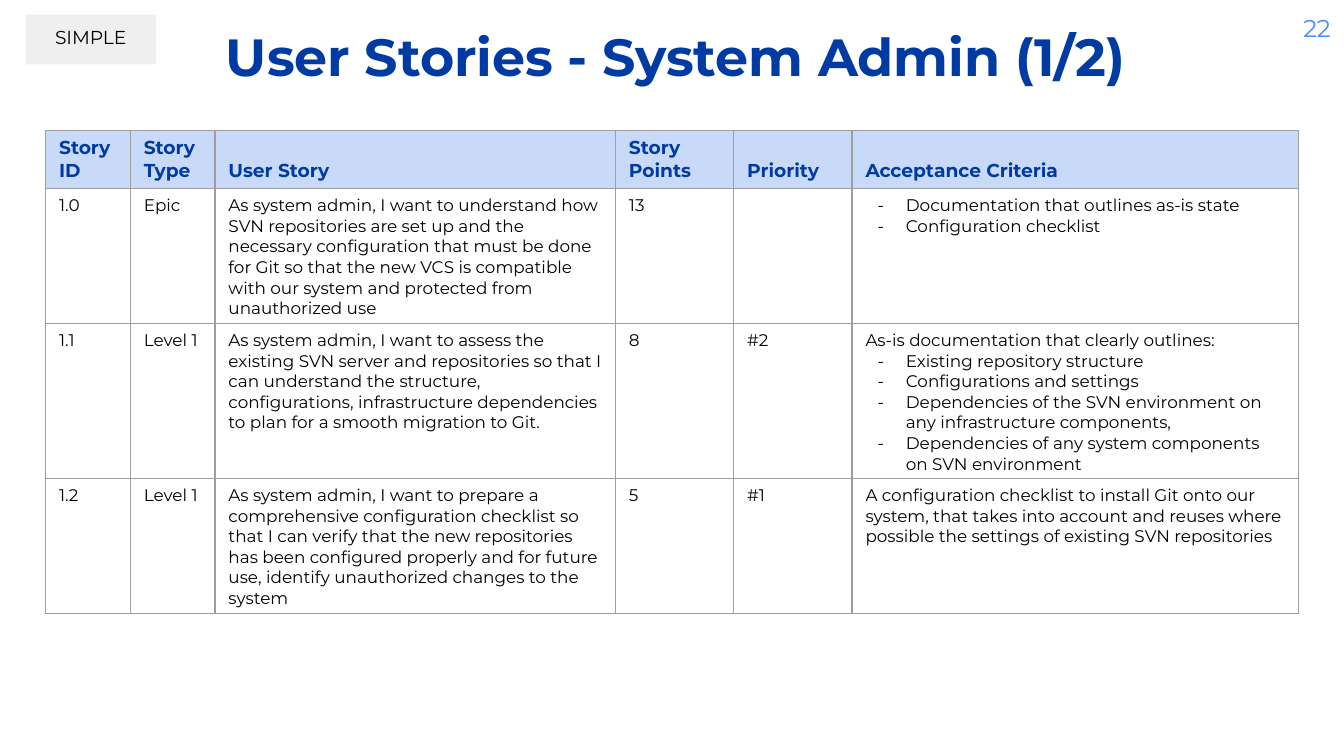
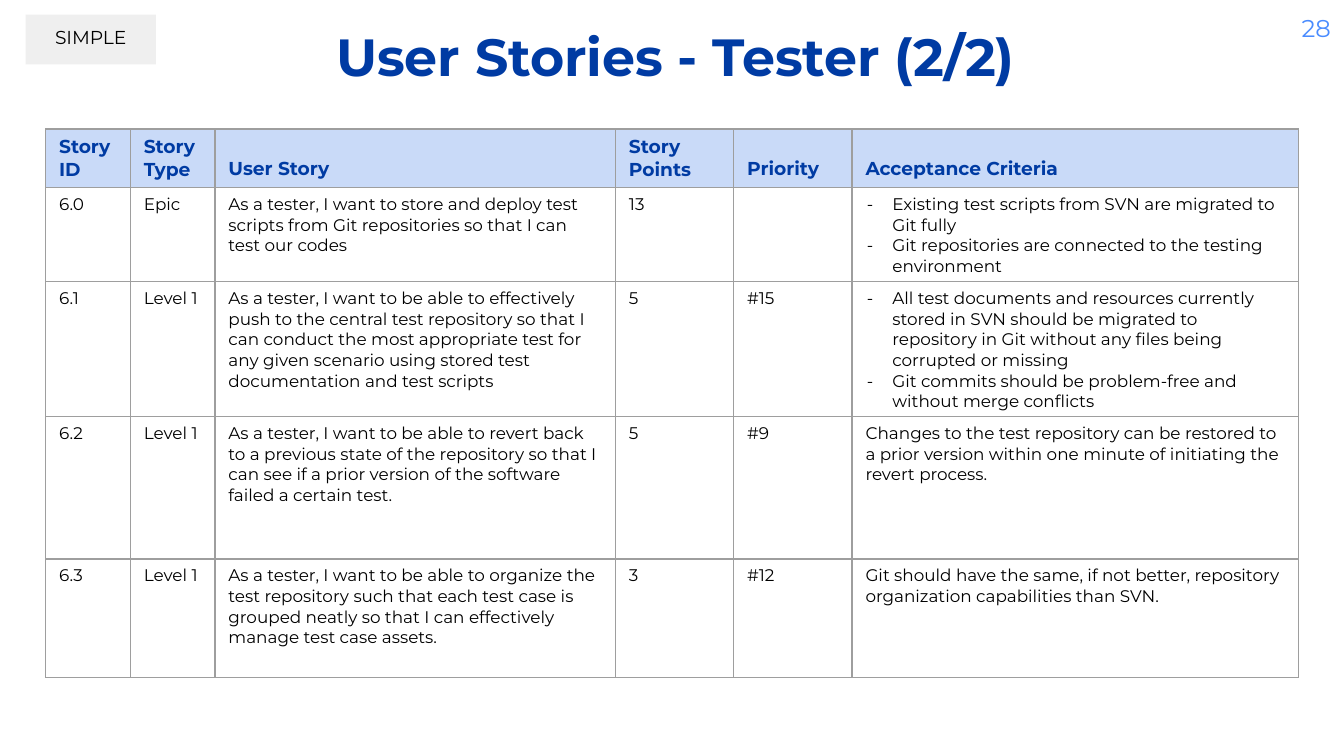
from dataclasses import dataclass

from lxml.etree import SubElement
from pptx import Presentation
from pptx.dml.color import RGBColor
from pptx.enum.shapes import MSO_SHAPE
from pptx.enum.text import MSO_ANCHOR, MSO_AUTO_SIZE, PP_ALIGN
from pptx.oxml.ns import qn
from pptx.slide import Slide
from pptx.table import _Cell
from pptx.text.text import TextFrame, _Paragraph
from pptx.util import Inches, Length, Pt

FONT = "Montserrat"
NAVY = RGBColor(0x00, 0x3B, 0xA3)
BRIGHT_BLUE = RGBColor(0x4A, 0x8C, 0xFF)
PALE_BLUE = RGBColor(0xC9, 0xDA, 0xF8)
BADGE_GREY = RGBColor(0xEF, 0xEF, 0xEF)
BORDER_GREY = RGBColor(0x9E, 0x9E, 0x9E)
BLACK = RGBColor(0x00, 0x00, 0x00)

SLIDE_WIDTH = Inches(10)
SLIDE_HEIGHT = SLIDE_WIDTH * 9 // 16
TABLE_LEFT = Inches(0.34)
BORDER_WIDTH = Pt(0.75)
COLUMNS = (
    ("Story ID", 0.63),
    ("Story Type", 0.63),
    ("User Story", 2.98),
    ("Story Points", 0.88),
    ("Priority", 0.88),
    ("Acceptance Criteria", 3.32),
)


@dataclass(frozen=True)
class TextStyle:
    size: int
    color: RGBColor
    bold: bool = False


@dataclass(frozen=True)
class BulletIndent:
    left: Length
    hanging: Length


@dataclass(frozen=True)
class Story:
    story_id: str
    story_type: str
    wish: str
    points: str
    priority: str
    row_height: float
    criteria_intro: str = ""
    criteria: tuple[str, ...] = ()


@dataclass(frozen=True)
class StoryPage:
    title: str
    number: str
    table_top: Length
    header_height: float
    indent: BulletIndent
    stories: tuple[Story, ...]


TITLE = TextStyle(28, NAVY, True)
PAGE_NUMBER = TextStyle(13, BRIGHT_BLUE)
BADGE = TextStyle(10, BLACK)
HEADER = TextStyle(10, NAVY, True)
BODY = TextStyle(9, BLACK)

PAGES = (
    StoryPage(
        "User Stories - System Admin (1/2)", "22", Inches(0.97), 0.43,
        BulletIndent(Inches(0.3), Inches(0.21)),
        (
            Story(
                "1.0", "Epic",
                "As system admin, I want to understand how SVN repositories are set up "
                "and the necessary configuration that must be done for Git so that the "
                "new VCS is compatible with our system and protected from "
                "unauthorized use",
                "13", "", 0.59,
                criteria=(
                    "Documentation that outlines as-is state",
                    "Configuration checklist",
                ),
            ),
            Story(
                "1.1", "Level 1",
                "As system admin, I want to assess the existing SVN server and "
                "repositories so that I can understand the structure, configurations, "
                "infrastructure dependencies to plan for a smooth migration to Git.",
                "8", "#2", 0.79,
                "As-is documentation that clearly outlines:",
                (
                    "Existing repository structure",
                    "Configurations and settings",
                    "Dependencies of the SVN environment on any infrastructure "
                    "components,",
                    "Dependencies of any system components on SVN environment",
                ),
            ),
            Story(
                "1.2", "Level 1",
                "As system admin, I want to prepare a comprehensive configuration "
                "checklist so that I can verify that the new repositories has been "
                "configured properly and for future use, identify unauthorized changes "
                "to the system",
                "5", "#1", 0.64,
                "A configuration checklist to install Git onto our system, that takes "
                "into account and reuses where possible the settings of existing SVN "
                "repositories",
            ),
        ),
    ),
    StoryPage(
        "User Stories - Tester (2/2)", "28", Inches(0.96), 0.32,
        BulletIndent(Inches(0.2), Inches(0.19)),
        (
            Story(
                "6.0", "Epic",
                "As a tester, I want to store and deploy test scripts from Git "
                "repositories so that I can test our codes",
                "13", "", 0.3,
                criteria=(
                    "Existing test scripts from SVN are migrated to Git fully",
                    "Git repositories are connected to the testing environment",
                ),
            ),
            Story(
                "6.1", "Level 1",
                "As a tester, I want to be able to effectively push to the central test "
                "repository so that I can conduct the most appropriate test for any "
                "given scenario using stored test documentation and test scripts",
                "5", "#15", 0.3,
                criteria=(
                    "All test documents and resources currently stored in SVN should be "
                    "migrated to repository in Git without any files being corrupted or "
                    "missing",
                    "Git commits should be problem-free and without merge conflicts",
                ),
            ),
            Story(
                "6.2", "Level 1",
                "As a tester, I want to be able to revert back to a previous state of "
                "the repository so that I can see if a prior version of the software "
                "failed a certain test.",
                "5", "#9", 1.06,
                "Changes to the test repository can be restored to a prior version "
                "within one minute of initiating the revert process.",
            ),
            Story(
                "6.3", "Level 1",
                "As a tester, I want to be able to organize the test repository such "
                "that each test case is grouped neatly so that I can effectively manage "
                "test case assets.",
                "3", "#12", 0.88,
                "Git should have the same, if not better, repository organization "
                "capabilities than SVN.",
            ),
        ),
    ),
)


# Text helpers
def add_run(paragraph: _Paragraph, text: str, style: TextStyle) -> None:
    run = paragraph.add_run()
    run.text = text
    run.font.name = FONT
    run.font.size = Pt(style.size)
    run.font.bold = style.bold
    run.font.color.rgb = style.color


def write_line(frame: TextFrame, text: str, style: TextStyle, align: PP_ALIGN,
               fit: MSO_AUTO_SIZE = MSO_AUTO_SIZE.NONE) -> None:
    frame.word_wrap = True
    frame.auto_size = fit
    frame.vertical_anchor = MSO_ANCHOR.TOP
    frame.margin_left = frame.margin_right = Inches(0.1)
    frame.margin_top = frame.margin_bottom = Inches(0.1)
    paragraph = frame.paragraphs[0]
    paragraph.alignment = align
    add_run(paragraph, text, style)


def add_dash(paragraph: _Paragraph, indent: BulletIndent) -> None:
    properties = paragraph._p.get_or_add_pPr()
    properties.set("marL", str(indent.left))
    properties.set("indent", str(-indent.hanging))
    color = SubElement(properties, qn("a:buClr"))
    SubElement(color, qn("a:srgbClr"), val=str(BLACK))
    SubElement(properties, qn("a:buSzPts"), val=str(BODY.size * 100))
    SubElement(properties, qn("a:buFont"), typeface=FONT)
    SubElement(properties, qn("a:buChar"), char="-")


# Table cells
def format_cell(cell: _Cell, header: bool) -> None:
    cell.margin_left = cell.margin_right = Inches(0.1)
    cell.margin_top = cell.margin_bottom = Inches(0.05)
    cell.vertical_anchor = MSO_ANCHOR.BOTTOM if header else MSO_ANCHOR.TOP
    # Borders come before the fill in the cell properties
    properties = cell._tc.get_or_add_tcPr()
    for side in ("a:lnL", "a:lnR", "a:lnT", "a:lnB"):
        border = SubElement(properties, qn(side), w=str(BORDER_WIDTH))
        fill = SubElement(border, qn("a:solidFill"))
        SubElement(fill, qn("a:srgbClr"), val=str(BORDER_GREY))
    if header:
        cell.fill.solid()
        cell.fill.fore_color.rgb = PALE_BLUE
    else:
        cell.fill.background()


def write_criteria(cell: _Cell, story: Story, indent: BulletIndent) -> None:
    frame = cell.text_frame
    paragraph = frame.paragraphs[0]
    if story.criteria_intro:
        add_run(paragraph, story.criteria_intro, BODY)
    for position, criterion in enumerate(story.criteria):
        if position or story.criteria_intro:
            paragraph = frame.add_paragraph()
        add_dash(paragraph, indent)
        add_run(paragraph, criterion, BODY)


def add_story_table(slide: Slide, page: StoryPage) -> None:
    heights = [page.header_height, *(story.row_height for story in page.stories)]
    width = sum(column_width for _, column_width in COLUMNS)
    table = slide.shapes.add_table(
        len(heights), len(COLUMNS), TABLE_LEFT, page.table_top,
        Inches(width), Inches(sum(heights))).table
    table.first_row = table.horz_banding = False

    for row, height in zip(table.rows, heights):
        row.height = Inches(height)
    for index, (heading, column_width) in enumerate(COLUMNS):
        table.columns[index].width = Inches(column_width)
        heading_cell = table.cell(0, index)
        format_cell(heading_cell, header=True)
        add_run(heading_cell.text_frame.paragraphs[0], heading, HEADER)

    for row_index, story in enumerate(page.stories, start=1):
        cells = list(table.rows[row_index].cells)
        for cell in cells:
            format_cell(cell, header=False)
        details = (story.story_id, story.story_type, story.wish,
                   story.points, story.priority)
        for cell, detail in zip(cells, details):
            if detail:
                add_run(cell.text_frame.paragraphs[0], detail, BODY)
        write_criteria(cells[-1], story, page.indent)


# Parts shared by all slides
def add_title(slide: Slide, text: str) -> None:
    title = slide.shapes.title
    title.left, title.top = Inches(0.81), Inches(0.08)
    title.width, title.height = Inches(8.43), Inches(0.71)
    write_line(title.text_frame, text, TITLE, PP_ALIGN.CENTER)


def add_page_number(slide: Slide, number: str) -> None:
    number_box = slide.shapes.add_textbox(
        Inches(9.4), Inches(0), Inches(0.6), Inches(0.43))
    write_line(number_box.text_frame, number, PAGE_NUMBER, PP_ALIGN.RIGHT)


def add_badge(slide: Slide) -> None:
    badge = slide.shapes.add_shape(
        MSO_SHAPE.RECTANGLE, Inches(0.19), Inches(0.11), Inches(0.97), Inches(0.37))
    badge.shadow.inherit = False
    badge.fill.solid()
    badge.fill.fore_color.rgb = BADGE_GREY
    badge.line.fill.background()
    write_line(badge.text_frame, "SIMPLE", BADGE, PP_ALIGN.CENTER,
               MSO_AUTO_SIZE.SHAPE_TO_FIT_TEXT)


def main() -> None:
    deck = Presentation()
    deck.slide_width, deck.slide_height = SLIDE_WIDTH, SLIDE_HEIGHT
    title_only = deck.slide_layouts[5]
    for page in PAGES:
        slide = deck.slides.add_slide(title_only)
        add_title(slide, page.title)
        add_page_number(slide, page.number)
        add_badge(slide)
        add_story_table(slide, page)
    deck.save("out.pptx")


if __name__ == "__main__":
    main()
